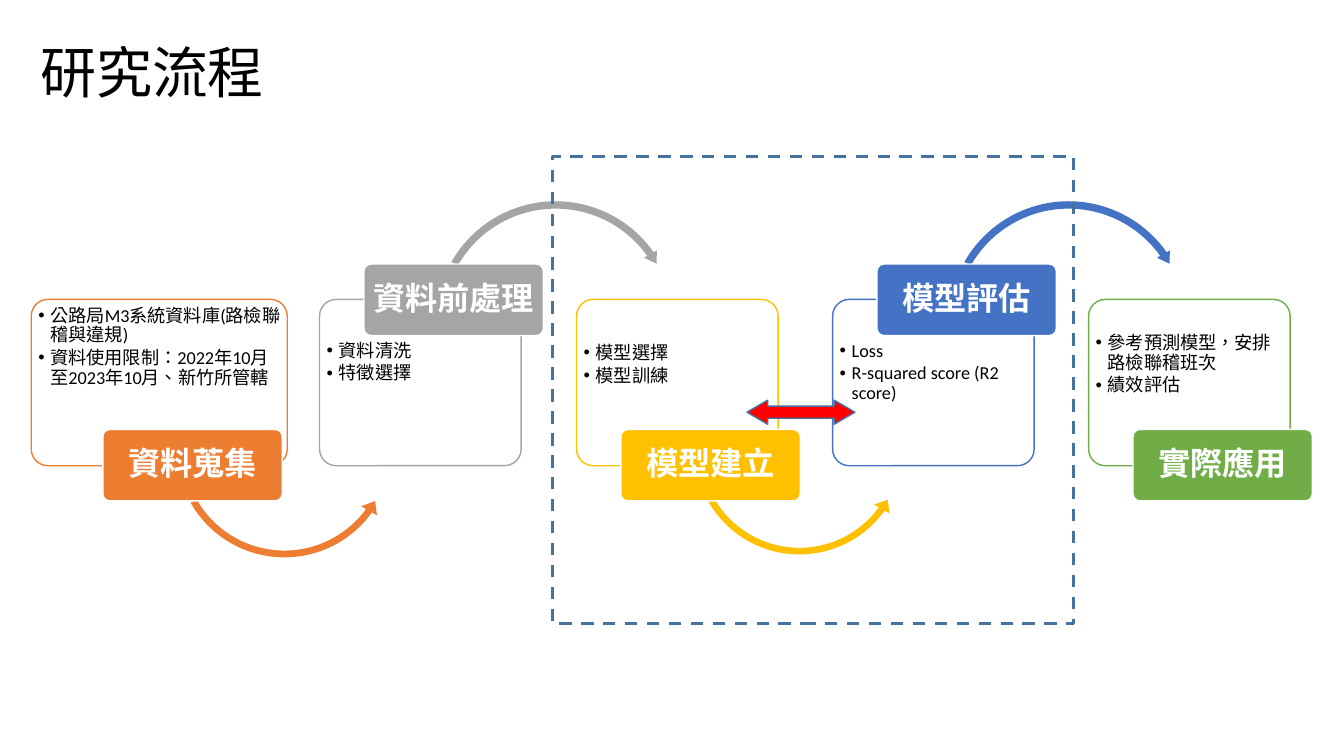
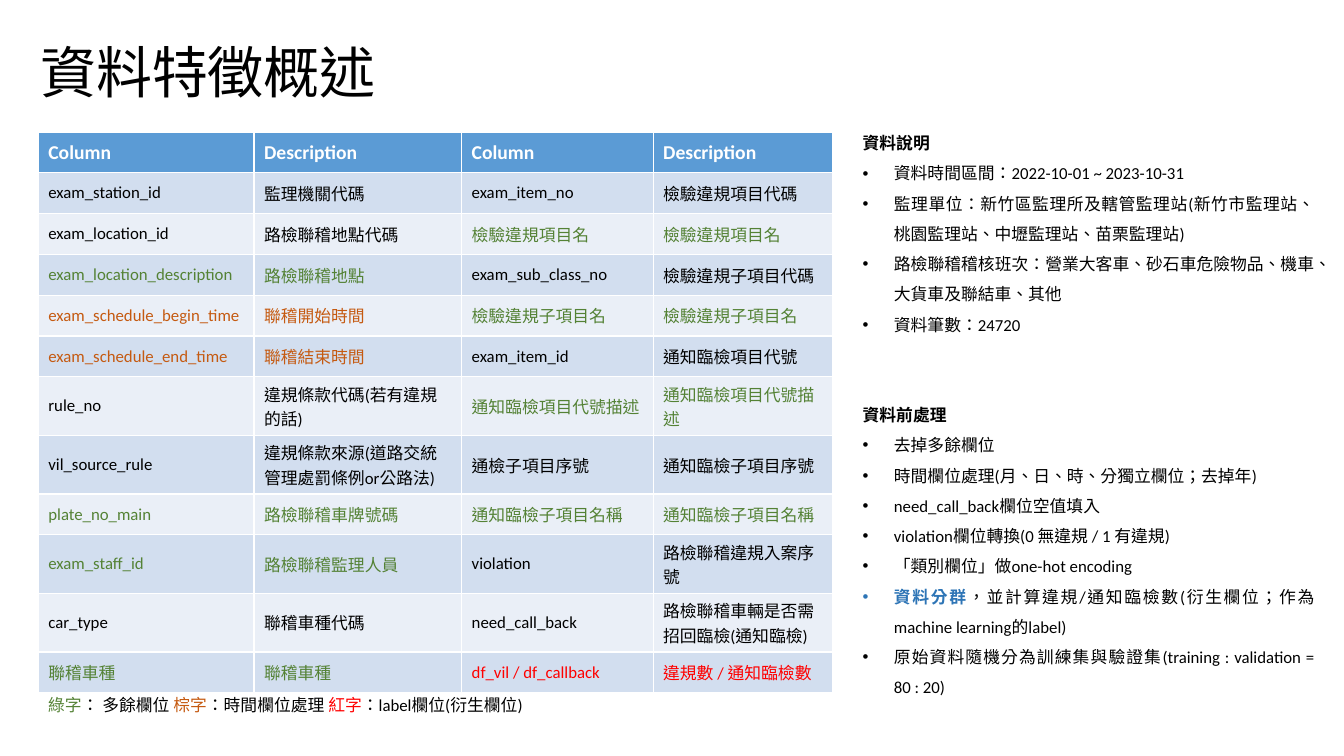
from lxml import etree
from pptx import Presentation
from pptx import util as u
from pptx.dml.color import RGBColor
from pptx.enum import dml, shapes, text
from pptx.oxml.ns import qn

COLORS = {
    "black": "000000", "white": "FFFFFF", "orange": "ED7D31", "gray": "A5A5A5",
    "gold": "FFC000", "blue": "4472C4", "leaf": "70AD47", "red": "FF0000",
    "edge": "43739E", "header": "5B9BD5", "band_dark": "D2DEEF", "band_light": "EAEFF7",
    "green": "548235", "brown": "C55A11", "accent": "2E75B6",
}
FONT = "Calibri"
SHAPE = shapes.MSO_SHAPE

presentation = Presentation()
presentation.slide_width = u.Inches(13.333)
presentation.slide_height = u.Inches(7.5)
# All positions and sizes are percentages of the slide's width and height
COLUMN = presentation.slide_width / 100
ROW = presentation.slide_height / 100


def draw(slide, kind, box, fill=None, line=None, weight=1, margins=(0.1, 0.05)):
    """Add a shape, or a text box when kind is None."""
    left, top, width, height = box
    place = [int(left * COLUMN), int(top * ROW), int(width * COLUMN), int(height * ROW)]
    if kind is None:
        shape = slide.shapes.add_textbox(*place)
    else:
        shape = slide.shapes.add_shape(kind, *place)
        shape.shadow.inherit = False
        if fill:
            shape.fill.solid()
            shape.fill.fore_color.rgb = RGBColor.from_string(COLORS[fill])
        else:
            shape.fill.background()
        if line:
            shape.line.color.rgb = RGBColor.from_string(COLORS[line])
            shape.line.width = u.Pt(weight)
        else:
            shape.line.fill.background()
    frame = shape.text_frame
    frame.word_wrap = True
    frame.margin_left = frame.margin_right = u.Inches(margins[0])
    frame.margin_top = frame.margin_bottom = u.Inches(margins[1])
    return shape


def write(paragraph, runs, size, spacing=None, indent=0, align=text.PP_ALIGN.LEFT):
    """Fill a paragraph with (text, color, bold) runs; an indent adds a bullet."""
    if indent:
        properties = paragraph._p.get_or_add_pPr()
        properties.set("marL", str(u.Inches(indent)))
        properties.set("indent", str(-u.Inches(indent)))
        etree.SubElement(properties, qn("a:buFont")).set("typeface", "Arial")
        etree.SubElement(properties, qn("a:buChar")).set("char", "•")
    paragraph.alignment = align
    paragraph.line_spacing = spacing
    for words, color, bold in runs:
        run = paragraph.add_run()
        run.text = words
        run.font.name = FONT
        run.font.size = u.Pt(size)
        run.font.bold = bold
        run.font.color.rgb = RGBColor.from_string(COLORS[color])
        run._r.get_or_add_rPr().set("lang", "zh-TW")


# Slides with their shared title
slides = []
for title in ("研究流程", "資料特徵概述"):
    slide = presentation.slides.add_slide(presentation.slide_layouts[6])
    heading = draw(slide, None, (2.25, 5.33, 86.25, 12.13))
    write(heading.text_frame.paragraphs[0], [(title, "black", False)], 40, 0.9)
    slides.append(slide)
process_slide, feature_slide = slides

# Process steps: name, color, panel centre, panel width, arrow size, body anchor, points
TOP, MIDDLE = text.MSO_ANCHOR.TOP, text.MSO_ANCHOR.MIDDLE
STEPS = [
    ("資料蒐集", "orange", 11.85, 19.05, 16.88, TOP,
     ["公路局M3系統資料庫(路檢聯稽與違規)", "資料使用限制：2022年10月至2023年10月、新竹所管轄"]),
    ("資料前處理", "gray", 31.28, 15, 18.38, TOP, ["資料清洗", "特徵選擇"]),
    ("模型建立", "gold", 50.4, 15, 16.43, MIDDLE, ["模型選擇", "模型訓練"]),
    ("模型評估", "blue", 69.45, 15, 18.38, TOP, ["Loss", "R-squared score (R2 score)"]),
    ("實際應用", "leaf", 88.5, 15, None, MIDDLE, ["參考預測模型，安排路檢聯稽班次", "績效評估"]),
]
ARROW_UNDER = (SHAPE.LEFT_CIRCULAR_ARROW, 59.47, (0.03, 3.75, 21.5, 90.25, 0.04))
ARROW_OVER = (SHAPE.CIRCULAR_ARROW, 42.47, (0.03, 3.38, 194.86, 125.76, 0.03))

for index, (name, color, centre, width, arrow_size, anchor, points) in enumerate(STEPS):
    badge_on_top = index % 2 == 1
    left = centre - width / 2
    panel = draw(process_slide, SHAPE.ROUNDED_RECTANGLE, (left, 39.6, width, 22), "white", color)
    panel.adjustments[0] = 0.1

    body_top = 44.8 if badge_on_top else 40.13
    body = draw(process_slide, None, (left + 0.3, body_top, width - 0.6, 16.27),
                margins=(0.03, 0.03)).text_frame
    body.vertical_anchor = anchor
    for number, point in enumerate(points):
        paragraph = body.add_paragraph() if number else body.paragraphs[0]
        write(paragraph, [(point, "black", False)], 13, 0.9, indent=0.12)
        paragraph.space_after = u.Pt(2)

    if arrow_size:
        kind, arrow_middle, bends = ARROW_OVER if badge_on_top else ARROW_UNDER
        arrow_height = arrow_size * COLUMN / ROW
        arrow = draw(process_slide, kind, (centre + 0.87, arrow_middle - arrow_height / 2,
                                           arrow_size, arrow_height), color)
        for number, bend in enumerate(bends):
            arrow.adjustments[number] = bend

    badge = draw(process_slide, SHAPE.ROUNDED_RECTANGLE,
                 (centre - 4.2, 34.93 if badge_on_top else 56.8, 13.35, 9.47),
                 color, "white", margins=(0.05, 0.05))
    badge.adjustments[0] = 0.1
    badge.text_frame.vertical_anchor = MIDDLE
    write(badge.text_frame.paragraphs[0], [(name, "white", True)], 23, 0.9,
          align=text.PP_ALIGN.CENTER)

# Dashed frame and two-way arrow around the modelling loop
loop_frame = draw(process_slide, SHAPE.RECTANGLE, (41.1, 20.67, 38.78, 61.87),
                  line="edge", weight=2.25)
loop_frame.line.dash_style = dml.MSO_LINE.DASH
loop_arrow = draw(process_slide, SHAPE.LEFT_RIGHT_ARROW, (55.58, 52.93, 8.03, 3.2), "red", "edge")
loop_arrow.adjustments[0] = 0.5
loop_arrow.adjustments[1] = 0.86

# Feature table: each row holds two (color, column, description) entries
FEATURES = [
    (("white", "Column", "Description"), ("white", "Column", "Description")),
    (("black", "exam_station_id", "監理機關代碼"), ("black", "exam_item_no", "檢驗違規項目代碼")),
    (("black", "exam_location_id", "路檢聯稽地點代碼"), ("green", "檢驗違規項目名", "檢驗違規項目名")),
    (("green", "exam_location_description", "路檢聯稽地點"),
     ("black", "exam_sub_class_no", "檢驗違規子項目代碼")),
    (("brown", "exam_schedule_begin_time", "聯稽開始時間"),
     ("green", "檢驗違規子項目名", "檢驗違規子項目名")),
    (("brown", "exam_schedule_end_time", "聯稽結束時間"), ("black", "exam_item_id", "通知臨檢項目代號")),
    (("black", "rule_no", "違規條款代碼(若有違規的話)"),
     ("green", "通知臨檢項目代號描述", "通知臨檢項目代號描述")),
    (("black", "vil_source_rule", "違規條款來源(道路交統管理處罰條例or公路法)"),
     ("black", "通檢子項目序號", "通知臨檢子項目序號")),
    (("green", "plate_no_main", "路檢聯稽車牌號碼"),
     ("green", "通知臨檢子項目名稱", "通知臨檢子項目名稱")),
    (("green", "exam_staff_id", "路檢聯稽監理人員"), ("black", "violation", "路檢聯稽違規入案序號")),
    (("black", "car_type", "聯稽車種代碼"),
     ("black", "need_call_back", "路檢聯稽車輛是否需招回臨檢(通知臨檢)")),
    (("green", "聯稽車種", "聯稽車種"), ("red", "df_vil / df_callback", "違規數 / 通知臨檢數")),
]
WIDTHS = [16.05, 15.45, 14.25, 13.35]
TWO_LINE_ROWS = {6, 7, 9, 10}
HEIGHTS = [7.75 if number in TWO_LINE_ROWS else 5.4 for number in range(len(FEATURES))]
table = feature_slide.shapes.add_table(
    len(FEATURES), len(WIDTHS), int(2.85 * COLUMN), int(17.47 * ROW),
    int(sum(WIDTHS) * COLUMN), int(sum(HEIGHTS) * ROW)).table
for column, width in zip(table.columns, WIDTHS):
    column.width = int(width * COLUMN)
for row_number, entries in enumerate(FEATURES):
    table.rows[row_number].height = int(HEIGHTS[row_number] * ROW)
    is_header = row_number == 0
    band = "header" if is_header else ("band_light", "band_dark")[row_number % 2]
    cells = [(color, words) for color, *pair in entries for words in pair]
    for column_number, (color, words) in enumerate(cells):
        cell = table.cell(row_number, column_number)
        cell.fill.solid()
        cell.fill.fore_color.rgb = RGBColor.from_string(COLORS[band])
        cell.vertical_anchor = MIDDLE
        write(cell.text_frame.paragraphs[0], [(words, color, is_header)], 14 if is_header else 12)

# Notes beside the table: a heading, then its bullets as lists of runs
SECTIONS = [
    ("資料說明", [
        [("資料時間區間：2022-10-01 ~ 2023-10-31", "black", False)],
        [("監理單位：新竹區監理所及轄管監理站(新竹市監理站、桃園監理站、中壢監理站、苗栗監理站)",
          "black", False)],
        [("路檢聯稽稽核班次：營業大客車、砂石車危險物品、機車、大貨車及聯結車、其他", "black", False)],
        [("資料筆數：24720", "black", False)],
    ]),
    ("資料前處理", [
        [("去掉多餘欄位", "black", False)],
        [("時間欄位處理(月、日、時、分獨立欄位；去掉年)", "black", False)],
        [("need_call_back欄位空值填入", "black", False)],
        [("violation欄位轉換(0 無違規 / 1 有違規)", "black", False)],
        [("「類別欄位」做one-hot encoding", "black", False)],
        [("資料分群", "accent", True),
         ("，並計算違規/通知臨檢數(衍生欄位；作為machine learning的label)", "black", False)],
        [("原始資料隨機分為訓練集與驗證集(training : validation = 80 : 20)", "black", False)],
    ]),
]
notes = draw(feature_slide, None, (63.45, 15.6, 35.1, 77.73)).text_frame
for number, (name, bullets) in enumerate(SECTIONS):
    paragraph = notes.add_paragraph() if number else notes.paragraphs[0]
    write(paragraph, [(name, "black", True)], 12, 1.5, align=text.PP_ALIGN.JUSTIFY)
    if number:
        paragraph.space_before = u.Pt(43)
    for runs in bullets:
        write(notes.add_paragraph(), runs, 12, 1.5, indent=0.31, align=text.PP_ALIGN.JUSTIFY)

# Legend for the text colors
legend = draw(feature_slide, None, (2.85, 91.2, 37.1, 4))
write(legend.text_frame.paragraphs[0], [
    ("綠字", "green", False), ("： 多餘欄位 ", "black", False),
    ("棕字", "brown", False), ("：時間欄位處理 ", "black", False),
    ("紅字", "red", False), ("：label欄位(衍生欄位)", "black", False),
], 12)

presentation.save("out.pptx")
